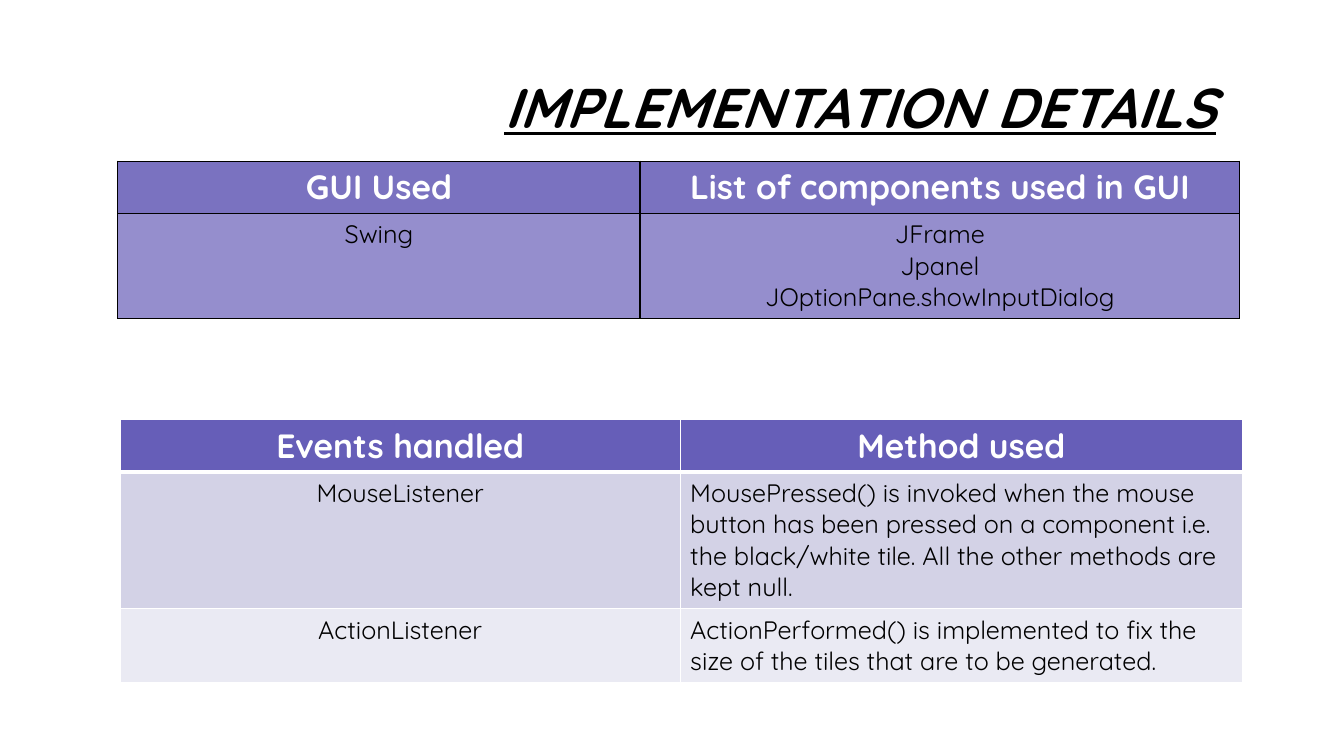
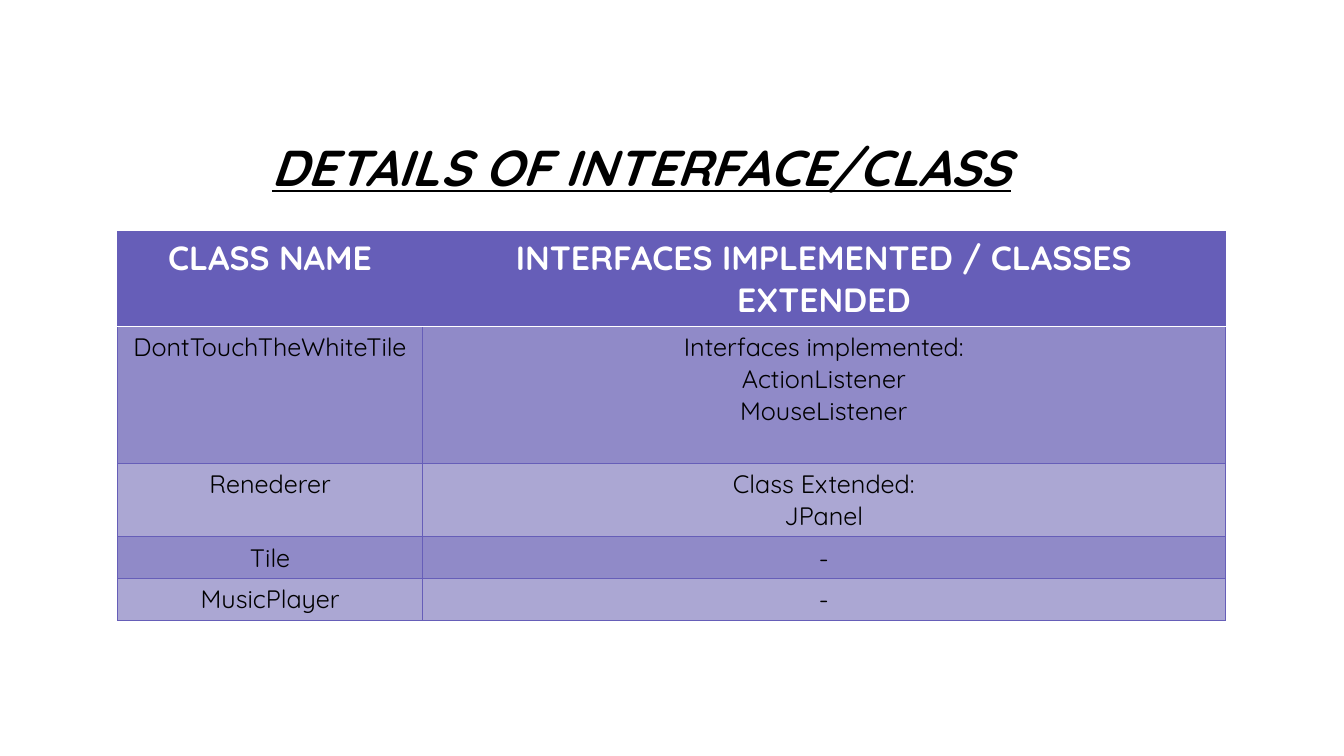
from dataclasses import dataclass

from lxml.etree import SubElement
from pptx import Presentation
from pptx.dml.color import RGBColor
from pptx.enum.text import MSO_ANCHOR, MSO_AUTO_SIZE, PP_ALIGN
from pptx.oxml.ns import qn
from pptx.util import Cm, Pt


@dataclass(frozen=True)
class Theme:
    font: str = "Quicksand"
    ink: str = "000000"
    paper: str = "FFFFFF"
    violet: str = "665EB8"
    header_size: int = 24
    body_size: int = 18
    header_line: float = 1.07
    body_line: float = 0.8
    row_padding: float = 0.25


@dataclass(frozen=True)
class GridStyle:
    header: str
    bands: tuple
    line: str
    width: float
    header_divider: str
    header_rule: str
    header_rule_width: float


THEME = Theme()
OUTLINED = GridStyle("7A72C0", ("958ECD",), THEME.ink, 1, THEME.ink, THEME.ink, 1)
BANDED = GridStyle(THEME.violet, ("D3D2E6", "EAEAF3"), THEME.paper, 1,
                   THEME.paper, THEME.paper, 3)
TINTED = GridStyle(THEME.violet, ("908AC8", "ABA7D3"), THEME.violet, 0.75,
                   THEME.violet, THEME.paper, 1)


def set_font(paragraph, size, color, bold):
    font = paragraph.font
    font.name = THEME.font
    font.size = Pt(size)
    font.bold = bold
    font.color.rgb = RGBColor.from_string(color)


def add_titled_slide(deck, text, size, left, top, width, height):
    slide = deck.slides.add_slide(deck.slide_layouts[5])
    title = slide.shapes.title
    title.left, title.top, title.width, title.height = map(
        Cm, (left, top, width, height))
    frame = title.text_frame
    frame.text = text
    frame.word_wrap = True
    frame.auto_size = MSO_AUTO_SIZE.NONE
    frame.vertical_anchor = MSO_ANCHOR.MIDDLE
    heading = frame.paragraphs[0]
    heading.alignment = PP_ALIGN.RIGHT
    heading.line_spacing = 0.9
    set_font(heading, size, THEME.ink, True)
    heading.font.italic = True
    heading.font.underline = True
    return slide


def add_border(cell, edge, color, width):
    properties = cell._tc.get_or_add_tcPr()
    line = SubElement(properties, qn(f"a:ln{edge}"), w=str(Pt(width)))
    fill = SubElement(line, qn("a:solidFill"))
    SubElement(fill, qn("a:srgbClr"), val=color)


def border_cell(cell, row, column, last_column, style):
    plain = (style.line, style.width)
    rule = (style.header_rule, style.header_rule_width)
    divider = (style.header_divider, style.width) if row == 0 else plain
    edges = {
        "L": plain if column == 0 else divider,
        "R": plain if column == last_column else divider,
        "T": rule if row == 1 else plain,
        "B": rule if row == 0 else plain,
    }
    for edge, (color, width) in edges.items():
        add_border(cell, edge, color, width)


def fill_cell(cell, text, row, style, alignment):
    is_header = row == 0
    background = style.header if is_header else style.bands[(row - 1) % len(style.bands)]
    cell.fill.solid()
    cell.fill.fore_color.rgb = RGBColor.from_string(background)
    cell.text = text
    for paragraph in cell.text_frame.paragraphs:
        paragraph.alignment = alignment
        if is_header:
            set_font(paragraph, THEME.header_size, THEME.paper, True)
        else:
            set_font(paragraph, THEME.body_size, THEME.ink, False)


def row_height(row, lines):
    pitch = THEME.header_line if row == 0 else THEME.body_line
    return Cm(THEME.row_padding + lines * pitch)


def add_grid(slide, left, top, widths, line_counts, rows, style,
             last_column_alignment=PP_ALIGN.CENTER):
    heights = [row_height(row, lines) for row, lines in enumerate(line_counts)]
    last_column = len(widths) - 1
    table = slide.shapes.add_table(
        len(rows), len(widths), Cm(left), Cm(top),
        Cm(sum(widths)), sum(heights)).table
    table.horz_banding = False
    for column, width in zip(table.columns, widths):
        column.width = Cm(width)
    for row, (texts, height) in enumerate(zip(rows, heights)):
        table.rows[row].height = height
        for column, text in enumerate(texts):
            cell = table.cell(row, column)
            border_cell(cell, row, column, last_column, style)
            follows_last = row > 0 and column == last_column
            alignment = last_column_alignment if follows_last else PP_ALIGN.CENTER
            fill_cell(cell, text, row, style, alignment)


def add_implementation_slide(deck):
    slide = add_titled_slide(deck, "IMPLEMENTATION DETAILS", 40, 2.97, 1.78, 27.94, 1.98)
    add_grid(slide, 2.97, 4.06, (13.16, 15.11), (1, 3), [
        ("GUI Used", "List of components used in GUI"),
        ("Swing", "JFrame\nJpanel\nJOptionPane.showInputDialog"),
    ], OUTLINED)
    add_grid(slide, 3.03, 10.57, (14.11, 14.17), (1, 4, 2), [
        ("Events handled", "Method used"),
        ("MouseListener",
         "MousePressed() is invoked when the mouse button has been pressed on a "
         "component i.e. the black/white tile. All the other methods are kept null."),
        ("ActionListener",
         "ActionPerformed() is implemented to fix the size of the tiles that are "
         "to be generated."),
    ], BANDED, PP_ALIGN.LEFT)


def add_class_slide(deck):
    slide = add_titled_slide(deck, "DETAILS OF INTERFACE/CLASS", 36, 1.8, 2.49, 23.93, 3.58)
    add_grid(slide, 2.97, 5.84, (7.67, 20.24), (2, 4, 2, 1, 1), [
        ("CLASS NAME", "INTERFACES IMPLEMENTED / CLASSES EXTENDED"),
        ("DontTouchTheWhiteTile",
         "Interfaces implemented:\nActionListener\nMouseListener"),
        ("Renederer", "Class Extended:\nJPanel"),
        ("Tile", "-"),
        ("MusicPlayer", "-"),
    ], TINTED)


def main():
    deck = Presentation()
    deck.slide_width = Cm(33.87)
    deck.slide_height = Cm(19.05)
    add_implementation_slide(deck)
    add_class_slide(deck)
    deck.save("out.pptx")


if __name__ == "__main__":
    main()
